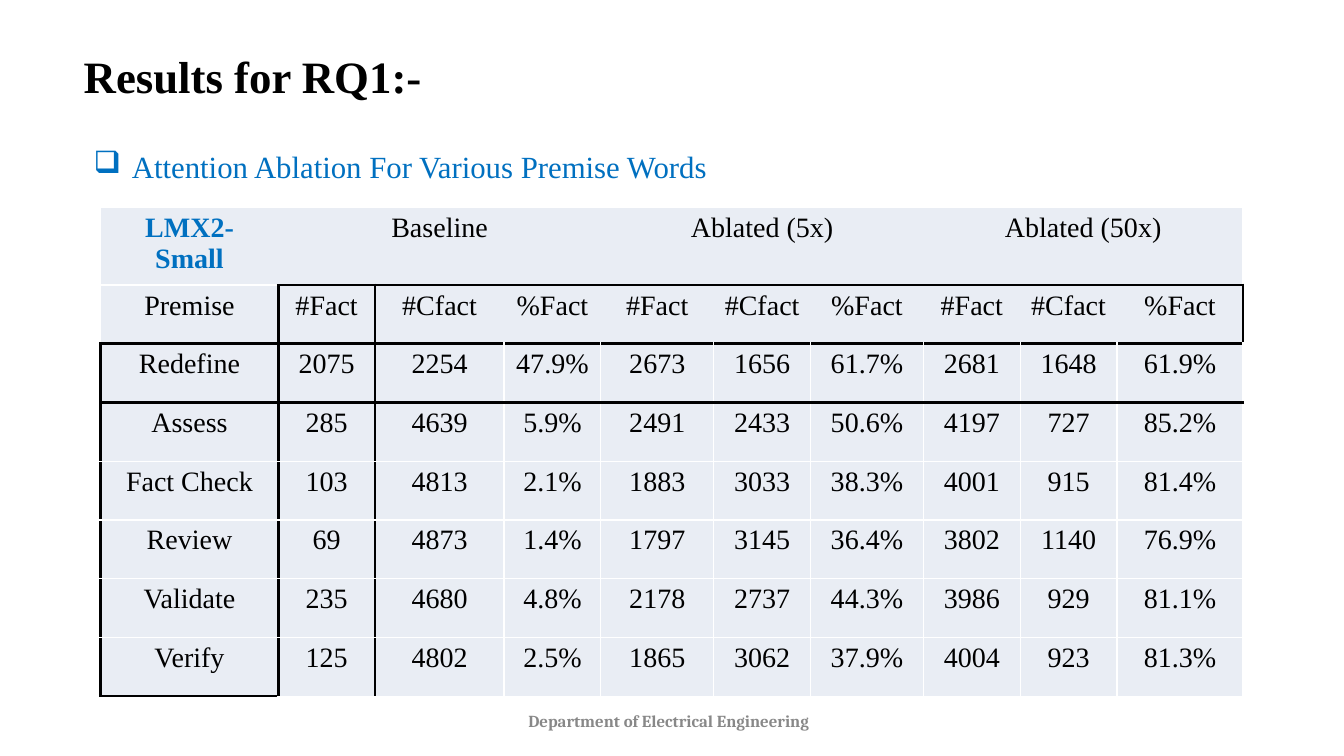
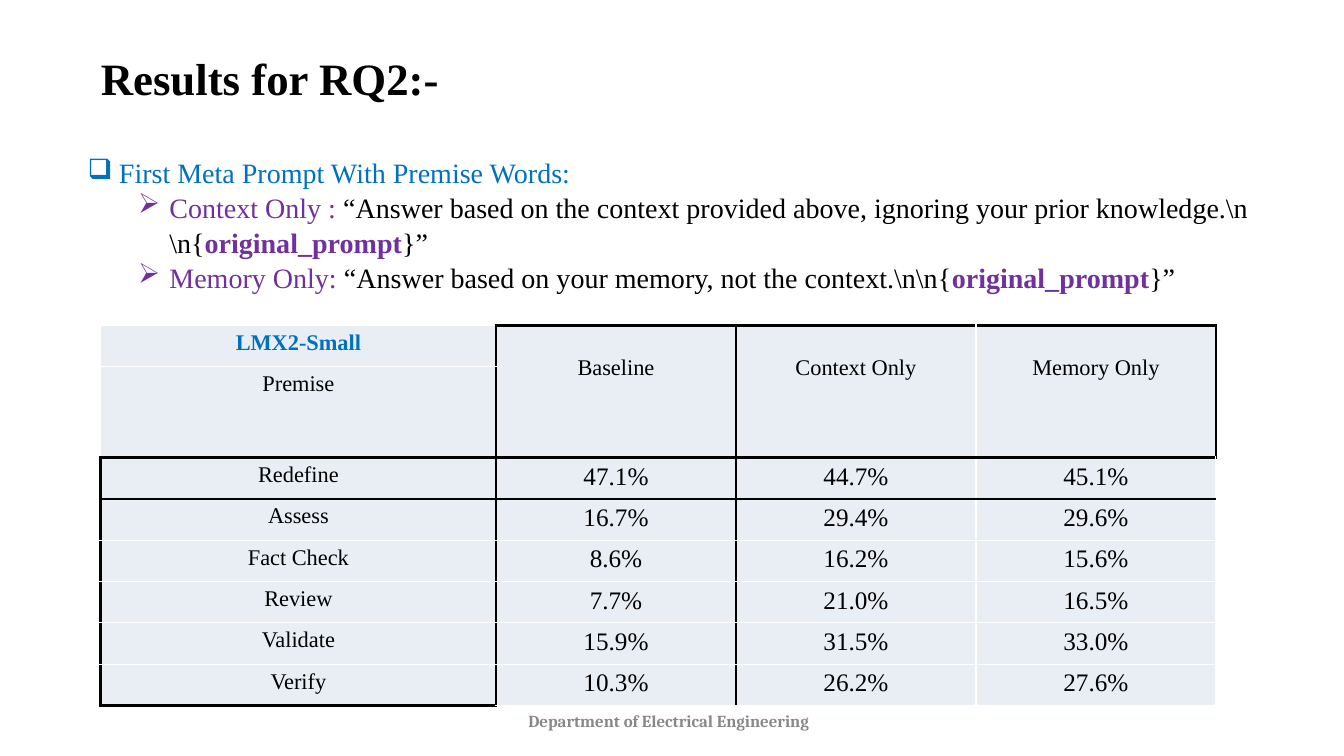
from lxml import etree
from pptx import Presentation
from pptx.dml.color import RGBColor
from pptx.enum.text import PP_ALIGN
from pptx.oxml.ns import qn
from pptx.util import Inches, Pt

CENTER = PP_ALIGN.CENTER
BLACK = RGBColor(0x00, 0x00, 0x00)
WHITE = RGBColor(0xFF, 0xFF, 0xFF)
BLUE = RGBColor(0x00, 0x70, 0xC0)
PURPLE = RGBColor(0x70, 0x30, 0xA0)
GRAY = RGBColor(0x88, 0x88, 0x88)
CELL_FILL = RGBColor(0xE9, 0xED, 0xF4)
SERIF = "Times New Roman"
FOOTER_FONT = "Cambria"
PLAIN_TABLE_STYLE = "{2D5ABB26-0587-4C30-8999-92F81FD0307C}"
SQUARE, ARROW = "❑", "➢"
THICK, THIN = (BLACK, 2.25), (WHITE, 1)
HEADER_ROWS = 2
MODEL = "LMX2-Small"

ABLATION_COLUMNS = [1.76, 0.96, 1.28, 0.96, 1.12, 0.96, 1.12, 0.96, 0.96, 1.25]
ABLATION_ROWS = [
    [MODEL, "Baseline", "", "", "Ablated (5x)", "", "", "Ablated (50x)", "", ""],
    ["Premise"] + ["#Fact", "#Cfact", "%Fact"] * 3,
    ["Redefine", "2075", "2254", "47.9%", "2673", "1656", "61.7%", "2681", "1648", "61.9%"],
    ["Assess", "285", "4639", "5.9%", "2491", "2433", "50.6%", "4197", "727", "85.2%"],
    ["Fact Check", "103", "4813", "2.1%", "1883", "3033", "38.3%", "4001", "915", "81.4%"],
    ["Review", "69", "4873", "1.4%", "1797", "3145", "36.4%", "3802", "1140", "76.9%"],
    ["Validate", "235", "4680", "4.8%", "2178", "2737", "44.3%", "3986", "929", "81.1%"],
    ["Verify", "125", "4802", "2.5%", "1865", "3062", "37.9%", "4004", "923", "81.3%"],
]
PROMPT_COLUMNS = [3.92, 2.38, 2.38, 2.38]
PROMPT_ROWS = [
    [MODEL, "Baseline", "Context Only", "Memory Only"],
    ["Premise", "", "", ""],
    ["Redefine", "47.1%", "44.7%", "45.1%"],
    ["Assess", "16.7%", "29.4%", "29.6%"],
    ["Fact Check", "8.6%", "16.2%", "15.6%"],
    ["Review", "7.7%", "21.0%", "16.5%"],
    ["Validate", "15.9%", "31.5%", "33.0%"],
    ["Verify", "10.3%", "26.2%", "27.6%"],
]


def add_run(paragraph, text, size, color=BLACK, bold=False, name=SERIF):
    """Append one formatted run to a paragraph."""
    run = paragraph.add_run()
    run.text = text
    for attribute, value in {"size": Pt(size), "bold": bold, "name": name}.items():
        setattr(run.font, attribute, value)
    run.font.color.rgb = color


def add_text_frame(slide, box, inset=0):
    """Place a wrapping text box with equal insets and return its frame."""
    frame = slide.shapes.add_textbox(*map(Inches, box)).text_frame
    frame.word_wrap = True
    for side in ("left", "top", "right", "bottom"):
        setattr(frame, f"margin_{side}", Inches(inset))
    return frame


def set_bullet(paragraph, symbol, indent, hanging):
    """Give a paragraph a bullet with a hanging indent in inches."""
    properties = paragraph._p.get_or_add_pPr()
    properties.set("marL", str(Inches(indent)))
    properties.set("indent", str(-Inches(hanging)))
    etree.SubElement(properties, qn("a:buChar")).set("char", symbol)


def add_title_and_footer(slide, title, left, top):
    """Place the slide title and the shared department footer."""
    heading = add_text_frame(slide, (left, top, 7.61, 0.54))
    add_run(heading.paragraphs[0], title, 32, bold=True)
    footer = add_text_frame(slide, (5.24, 7.05, 2.87, 0.23))
    add_run(footer.paragraphs[0], "Department of Electrical Engineering", 12,
            GRAY, True, FOOTER_FONT)


def draw_border(cell, side, line):
    """Draw one side of a cell as a (colour, points) line."""
    color, width = line
    border = etree.SubElement(cell._tc.get_or_add_tcPr(), qn(f"a:ln{side}"))
    border.set("w", str(Pt(width)))
    fill = etree.SubElement(border, qn("a:solidFill"))
    etree.SubElement(fill, qn("a:srgbClr")).set("val", str(color))


def row_line(row, column, row_count, frame_top):
    """Choose the line that runs above a row."""
    thick = (row in (HEADER_ROWS, HEADER_ROWS + 1)
             or (row == frame_top and column > 0)
             or (row == row_count and column == 0))
    return THICK if thick else THIN


def column_line(row, column, column_count, frame_top, divided_header):
    """Choose the line that runs left of a column, or None for no line."""
    in_header = row < HEADER_ROWS
    if column == 0:
        return THIN if in_header else THICK
    if column == column_count:
        return THICK if frame_top <= row < HEADER_ROWS else THIN
    if column == 1 and row >= frame_top:
        return THICK
    if in_header and not divided_header:
        return None
    return THICK if column == 2 else THIN


def add_results_table(slide, left, top, columns, heights, rows, merges,
                      frame_top, divided_header, label_size, value_size):
    """Place a results table with merged headings and a ruled frame."""
    row_count, column_count = len(rows), len(columns)
    table = slide.shapes.add_table(
        row_count, column_count, Inches(left), Inches(top),
        Inches(sum(columns)), Inches(sum(heights))).table
    table._tbl.tblPr.find(qn("a:tableStyleId")).text = PLAIN_TABLE_STYLE
    for column, width in zip(table.columns, columns):
        column.width = Inches(width)
    for row, height in zip(table.rows, heights):
        row.height = Inches(height)
    for first, last in merges:
        table.cell(*first).merge(table.cell(*last))

    for r, labels in enumerate(rows):
        for c, label in enumerate(labels):
            cell = table.cell(r, c)
            if cell.is_spanned:
                continue
            below = r + (cell.span_height if cell.is_merge_origin else 1)
            after = c + (cell.span_width if cell.is_merge_origin else 1)
            lines = {
                "L": column_line(r, c, column_count, frame_top, divided_header),
                "R": column_line(r, after, column_count, frame_top, divided_header),
                "T": row_line(r, c, row_count, frame_top),
                "B": row_line(below, c, row_count, frame_top),
            }
            for side, line in lines.items():
                if line:
                    draw_border(cell, side, line)
            cell.fill.solid()
            cell.fill.fore_color.rgb = CELL_FILL
            if below - r > 1:
                cell.margin_top = Inches(0.3)
            paragraph = cell.text_frame.paragraphs[0]
            paragraph.alignment = CENTER
            is_model = r == c == 0
            size = value_size if r >= HEADER_ROWS and c else label_size
            add_run(paragraph, label, size, BLUE if is_model else BLACK, is_model)


def build_ablation_slide(slide):
    """Build the attention ablation results."""
    add_title_and_footer(slide, "Results for RQ1:-", 0.83, 0.48)
    topic = add_text_frame(slide, (0.83, 1.42, 8.08, 0.47), 0.1)
    topic.margin_top = topic.margin_bottom = Inches(0.05)
    set_bullet(topic.paragraphs[0], SQUARE, 0.38, 0.38)
    add_run(topic.paragraphs[0], "Attention Ablation For Various Premise Words", 22, BLUE)
    merges = [((0, start), (0, start + 2)) for start in (1, 4, 7)]
    add_results_table(slide, 1, 2.06, ABLATION_COLUMNS, [0.583] * 8, ABLATION_ROWS,
                      merges, 1, False, 20, 20)


def add_prompt_list(slide, box):
    """Place the meta prompt heading and its two prompts."""
    frame = add_text_frame(slide, box)
    heading = frame.paragraphs[0]
    set_bullet(heading, SQUARE, 0.31, 0.31)
    add_run(heading, "First Meta Prompt With Premise Words:", 20, BLUE)
    prompts = [
        ("Context Only : ", "“Answer based on the context provided above, "
                            "ignoring your prior knowledge.\\n \\n{"),
        ("Memory Only: ", "“Answer based on your memory, not the context.\\n\\n{"),
    ]
    for label, wording in prompts:
        paragraph = frame.add_paragraph()
        set_bullet(paragraph, ARROW, 0.81, 0.31)
        add_run(paragraph, label, 20, PURPLE)
        add_run(paragraph, wording, 20)
        add_run(paragraph, "original_prompt", 20, PURPLE, True)
        add_run(paragraph, "}”", 20)
    for paragraph in frame.paragraphs:
        paragraph.line_spacing = 1.04


def build_prompt_slide(slide):
    """Build the meta prompt results."""
    add_title_and_footer(slide, "Results for RQ2:-", 1, 0.5)
    add_prompt_list(slide, (0.87, 1.53, 11.6, 1.68))
    merges = [((0, column), (1, column)) for column in (1, 2, 3)]
    add_results_table(slide, 1, 3.23, PROMPT_COLUMNS, [0.41, 0.9] + [0.41] * 6,
                      PROMPT_ROWS, merges, 0, True, 16, 18)


def main():
    """Build and save the presentation."""
    presentation = Presentation()
    presentation.slide_width = Inches(13.33)
    presentation.slide_height = Inches(7.5)
    blank = presentation.slide_layouts[6]
    for build in (build_ablation_slide, build_prompt_slide):
        build(presentation.slides.add_slide(blank))
    presentation.save("out.pptx")


if __name__ == "__main__":
    main()
